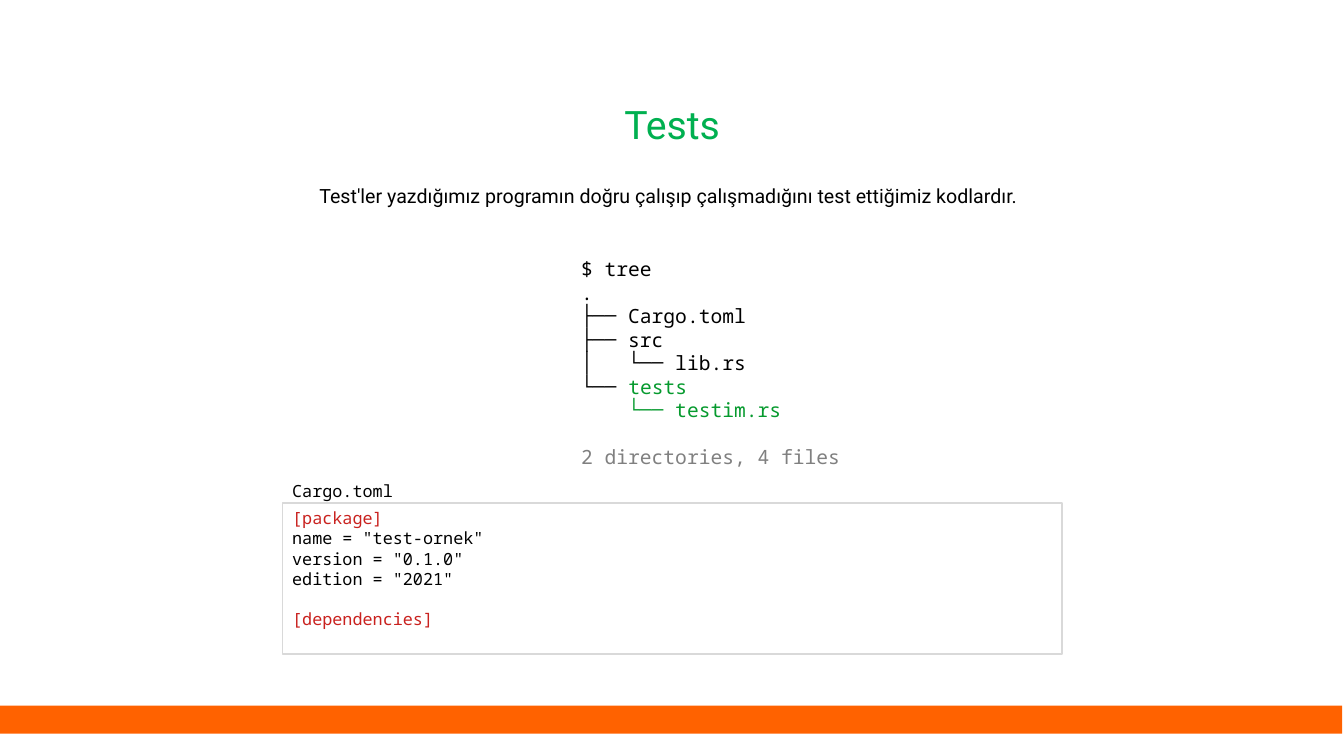
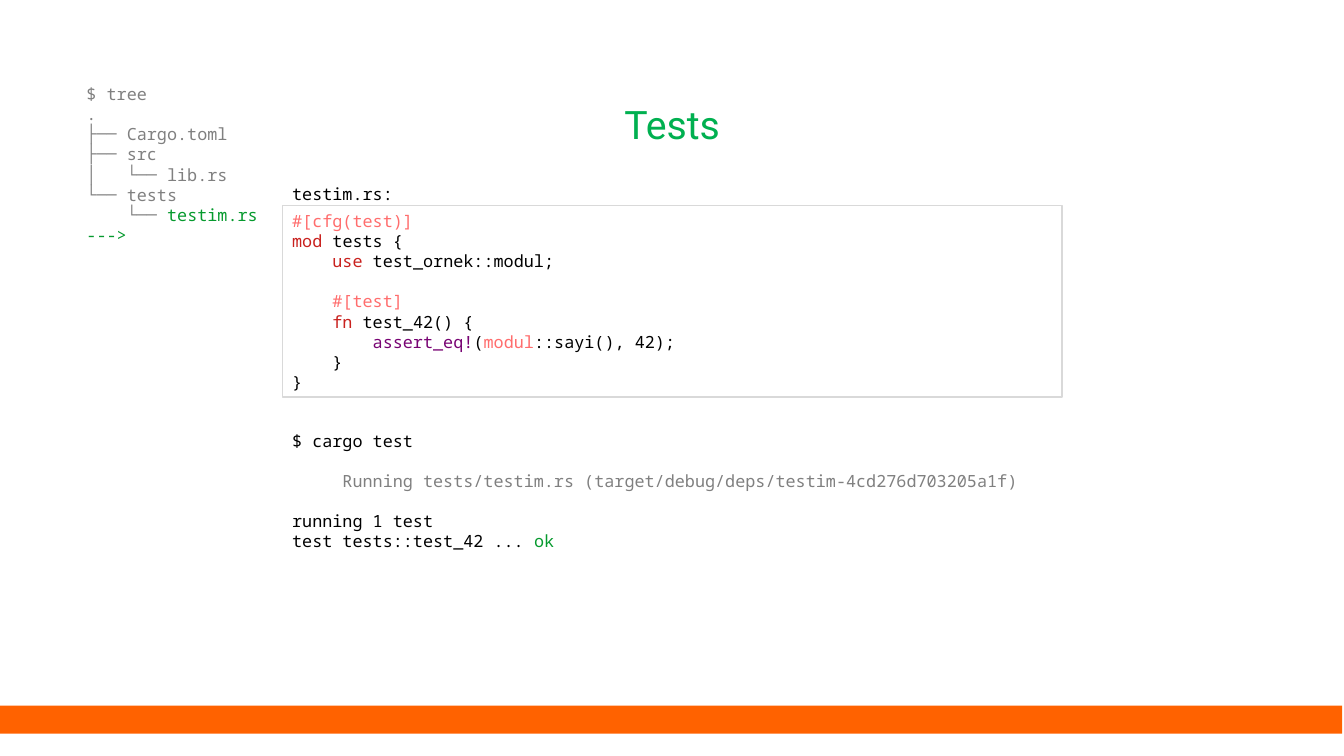
import pptx
import pptx.util
import pptx.dml.color
import pptx.enum.shapes
import pptx.enum.text

Pt = pptx.util.Pt
WIDE, HIGH = 960, 540
SANS, MONO = "Roboto", "Noto Sans Mono"
BLACK, WHITE, GREY = "000000", "FFFFFF", "808080"
GREEN, RED, PINK, PLUM = "069A2E", "C9211E", "FF6D6D", "780373"
HEAD, BAND, EDGE = "00B050", "FF6200", "D9D9D9"
LEFT, SPAN = 201.6, 557
LEAD = 1.2
GAP = None
TREE = ["$ tree", ".", "├── Cargo.toml", "├── src", "│   └── lib.rs"]


def tint(code):
    return pptx.dml.color.RGBColor.from_string(code)


def fill_text(frame, lines, size, color=BLACK, face=MONO):
    frame.word_wrap = True
    frame.vertical_anchor = pptx.enum.text.MSO_ANCHOR.TOP
    para, space = None, 0
    for line in lines:
        if line is GAP:
            space += LEAD * size
            continue
        para = frame.add_paragraph() if para else frame.paragraphs[0]
        para.alignment = pptx.enum.text.PP_ALIGN.LEFT
        if space:
            para.space_before = Pt(space)
            space = 0
        parts = [(line, color)] if isinstance(line, str) else line
        font = para.font
        font.name, font.size = face, Pt(size)
        same = len({hue for _, hue in parts}) == 1
        if same:
            font.color.rgb = tint(parts[0][1])
        for words, hue in parts:
            run = para.add_run()
            run.text = words
            if not same:
                run.font.color.rgb = tint(hue)


def add_text(slide, left, top, width, height, lines, size, color=BLACK, face=MONO):
    box = slide.shapes.add_textbox(Pt(left), Pt(top), Pt(width), Pt(height))
    fill_text(box.text_frame, lines, size, color, face)
    return box.text_frame


def add_rect(slide, left, top, width, height, fill, edge=None):
    kind = pptx.enum.shapes.MSO_SHAPE.RECTANGLE
    rect = slide.shapes.add_shape(kind, Pt(left), Pt(top), Pt(width), Pt(height))
    rect.shadow.inherit = False
    rect.fill.solid()
    rect.fill.fore_color.rgb = tint(fill)
    if edge:
        rect.line.color.rgb = tint(edge)
        rect.line.width = Pt(1)
    else:
        rect.line.fill.background()
    return rect


def add_code(slide, name, top, height, lines):
    rect = add_rect(slide, LEFT, top, SPAN, height, WHITE, EDGE)
    fill_text(rect.text_frame, lines, 12)
    add_text(slide, LEFT, top - 19.4, 100, 21, [name], 12)


def add_base(deck):
    slide = deck.slides.add_slide(deck.slide_layouts[6])
    title = add_text(slide, LEFT, 72, SPAN, 43, ["Tests"], 28, HEAD, SANS)
    title.paragraphs[0].alignment = pptx.enum.text.PP_ALIGN.CENTER
    title.paragraphs[0].line_spacing = 0.9
    add_rect(slide, -1.4, 504, WIDE, 20, BAND)
    return slide


def add_intro(deck):
    slide = add_base(deck)
    add_text(slide, 221, 127.5, 541, 26, [
        "Test'ler yazdığımız programın doğru çalışıp çalışmadığını test ettiğimiz kodlardır.",
    ], 14, face=SANS)
    add_text(slide, 408, 180, 220, 155, TREE + [
        [("└── ", BLACK), ("tests", GREEN)],
        [("    └── testim.rs", GREEN)],
        GAP,
        [("2 directories, 4 files", GREY)],
    ], 14)
    add_code(slide, "Cargo.toml", 359.3, 108, [
        [("[package]", RED)],
        'name = "test-ornek"',
        'version = "0.1.0"',
        'edition = "2021"',
        GAP,
        [("[dependencies]", RED)],
    ])


def add_demo(deck):
    slide = add_base(deck)
    add_code(slide, "testim.rs:", 146.9, 136.8, [
        [("#[cfg(test)]", PINK)],
        [("mod", RED), (" tests {", BLACK)],
        [("    use", RED), (" test_ornek::modul;", BLACK)],
        GAP,
        [("    #[test]", PINK)],
        [("    fn", RED), (" test_42() {", BLACK)],
        [("        assert_eq!", PLUM), ("(", BLACK), ("modul", PINK),
         ("::sayi(), 42);", BLACK)],
        "    }",
        "}",
    ])
    add_text(slide, 54.7, 56.2, 155.5, 119.5, TREE + [
        "└── tests",
        [("    └── ", GREY), ("testim.rs --->", GREEN)],
    ], 12, GREY)
    add_text(slide, LEFT, 303.8, SPAN, 91.4, [
        "$ cargo test",
        GAP,
        [("     Running tests/testim.rs (target/debug/deps/testim-4cd276d703205a1f)", GREY)],
        GAP,
        "running 1 test",
        [("test tests::test_42 ... ", BLACK), ("ok", GREEN)],
    ], 12)


def main():
    deck = pptx.Presentation()
    deck.slide_width, deck.slide_height = Pt(WIDE), Pt(HIGH)
    add_intro(deck)
    add_demo(deck)
    deck.save("out.pptx")


if __name__ == "__main__":
    main()
